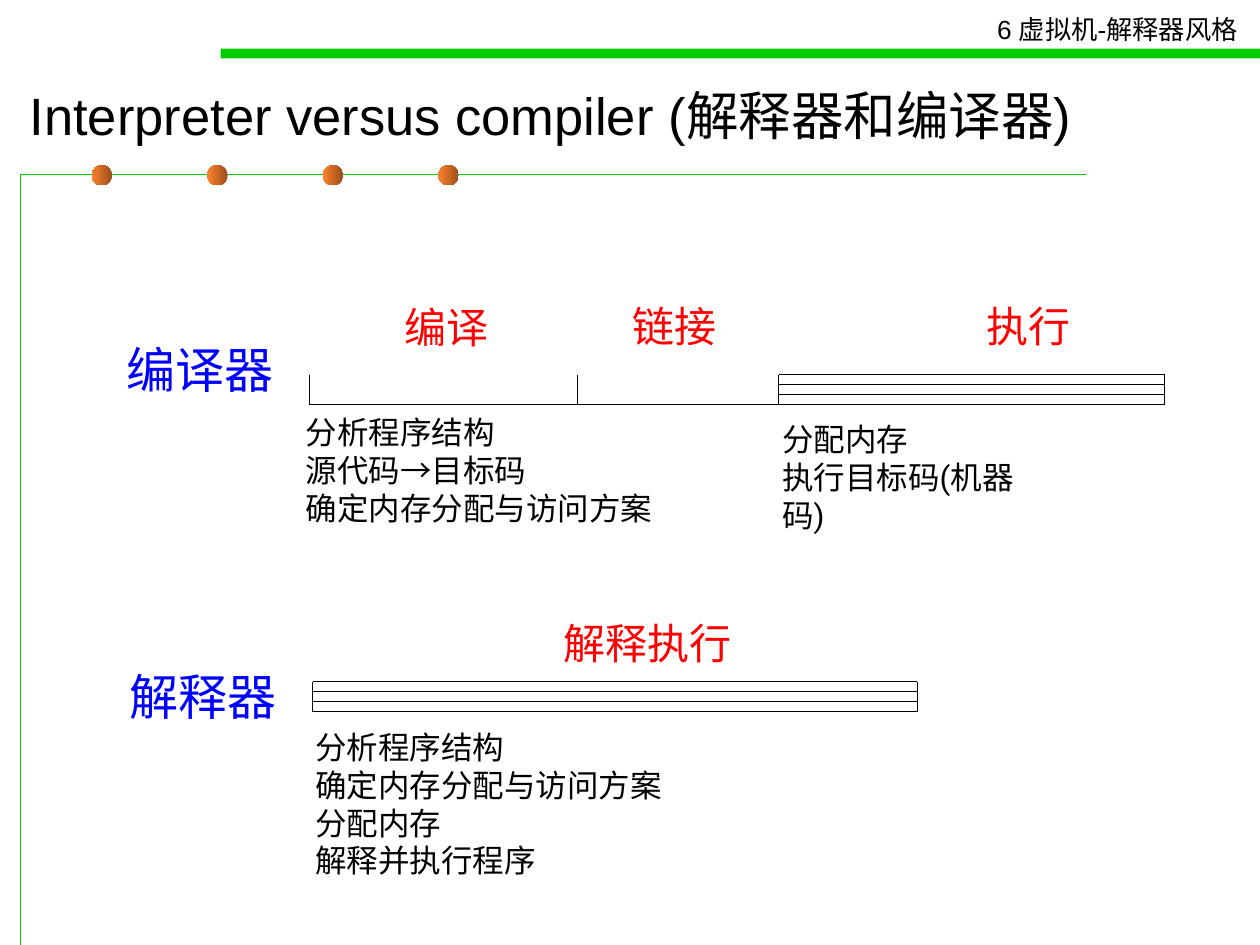
from lxml.etree import SubElement
from pptx import Presentation
from pptx.dml.color import RGBColor
from pptx.enum.shapes import MSO_CONNECTOR as Connector, MSO_SHAPE as Shape
from pptx.enum.text import MSO_ANCHOR as Anchor, MSO_AUTO_SIZE as AutoSize
from pptx.oxml.ns import qn
from pptx.util import Cm, Pt

COLORS = {
    "green": "00CC00", "black": "000000", "red": "FF0000", "blue": "0000FF",
    "dot_dark": "9A4E1B", "dot_light": "FF822D",
}
STYLES = {
    "header": {"size": 15, "font": "Arial", "color": "black"},
    "title": {"size": 30, "font": "Arial", "color": "black"},
    "system": {"size": 28, "font": "Roboto", "color": "blue"},
    "phase": {"size": 24, "font": "Roboto", "color": "red"},
    "notes": {"size": 18, "font": "Roboto", "color": "black"},
}
ARROW = "→"
LINE_WIDTH = Pt(0.75)
BAND_HEIGHT = 0.61
RAIL_GAP = BAND_HEIGHT / 3


def rgb(name):
    return RGBColor.from_string(COLORS[name])


class SlideBuilder:
    """Holds the text styles and the slide being drawn; lengths are in cm."""

    def __init__(self, slide, styles):
        self.shapes = slide.shapes
        self.styles = styles

    def corner_rule(self, points):
        start, *rest = [(Cm(x), Cm(y)) for x, y in points]
        builder = self.shapes.build_freeform(*start)
        builder.add_line_segments(rest, close=False)
        rule = builder.convert_to_shape()
        rule.shadow.inherit = False
        rule.fill.background()
        rule.line.color.rgb = rgb("green")
        rule.line.width = LINE_WIDTH

    def solid(self, kind, left, top, width, height):
        solid = self.shapes.add_shape(kind, Cm(left), Cm(top), Cm(width), Cm(height))
        solid.shadow.inherit = False
        solid.line.fill.background()
        return solid

    def bar(self, *box):
        fill = self.solid(Shape.RECTANGLE, *box).fill
        fill.solid()
        fill.fore_color.rgb = rgb("green")

    def dot(self, left, top, size):
        fill = self.solid(Shape.OVAL, left, top, size, size).fill
        fill.gradient()
        fill.gradient_angle = 180
        for stop, color in zip(fill.gradient_stops, ("dot_dark", "dot_light")):
            stop.color.rgb = rgb(color)

    def line(self, x1, y1, x2, y2):
        line = self.shapes.add_connector(
            Connector.STRAIGHT, Cm(x1), Cm(y1), Cm(x2), Cm(y2))
        line.line.color.rgb = rgb("black")
        line.line.width = LINE_WIDTH
        SubElement(line._element.spPr, qn("a:effectLst"))

    def timeline(self, top, ticks):
        """Baseline with a tick at each boundary; the last phase gets rails."""
        bottom = top + BAND_HEIGHT
        self.line(ticks[0], bottom, ticks[-1], bottom)
        for x in ticks:
            self.line(x, top, x, bottom)
        for rail in range(3):
            y = top + rail * RAIL_GAP
            self.line(ticks[-2], y, ticks[-1], y)

    def text(self, style, lines, left, top, width, height, **frame_format):
        box = self.shapes.add_textbox(Cm(left), Cm(top), Cm(width), Cm(height))
        frame = box.text_frame
        settings = {"word_wrap": False, "auto_size": AutoSize.SHAPE_TO_FIT_TEXT}
        for name, value in (settings | frame_format).items():
            setattr(frame, name, value)
        look = self.styles[style]
        for index, line in enumerate(lines):
            paragraph = frame.add_paragraph() if index else frame.paragraphs[0]
            for part in filter(None, line.partition(ARROW)):
                run = paragraph.add_run()
                run.text = part
                font_format = {
                    "size": Pt(look["size"]),
                    "name": "Arial" if part == ARROW else look["font"],
                }
                for name, value in font_format.items():
                    setattr(run.font, name, value)
                run.font.color.rgb = rgb(look["color"])


def main():
    deck = Presentation()
    deck.slide_width, deck.slide_height = Cm(25.4), Cm(19.05)
    page = SlideBuilder(deck.slides.add_slide(deck.slide_layouts[6]), STYLES)

    page.corner_rule([(0.42, 19.05), (0.42, 3.52), (21.9, 3.52)])
    for index in range(4):
        page.dot(1.85 + index * 2.33, 3.33, 0.41)
    page.bar(4.45, 0.98, 20.95, 0.2)
    page.text("header", ["6 虚拟机-解释器风格"], 19.85, 0.15, 5.74, 0.89)
    page.text("title", ["Interpreter versus compiler (解释器和编译器)"],
              0.35, 1.4, 23.6, 1.8, word_wrap=True, auto_size=AutoSize.NONE,
              vertical_anchor=Anchor.MIDDLE)

    page.timeline(7.55, [6.24, 11.64, 15.7, 23.48])
    page.timeline(13.74, [6.3, 18.49])

    for phase, left, top, width in [
        ("编译", 7.9, 5.96, 2.4),
        ("链接", 12.5, 5.94, 2.4),
        ("执行", 19.63, 5.94, 2.4),
        ("解释执行", 11.11, 12.32, 4.1),
    ]:
        page.text("phase", [phase], left, top, width, 1.27, word_wrap=True)

    page.text("notes", ["分析程序结构", "源代码→目标码", "确定内存分配与访问方案"],
              5.91, 8.2, 7.8, 2.54, word_wrap=True)
    page.text("notes", ["分析程序结构", "确定内存分配与访问方案", "分配内存", "解释并执行程序"],
              6.11, 14.55, 7.8, 3.3, word_wrap=True)
    page.text("notes", ["分配内存", "执行目标码(机器码)"],
              15.52, 8.35, 5.8, 2.54, word_wrap=True)

    for system, left, top in [("编译器", 2.31, 6.71), ("解释器", 2.36, 13.31)]:
        page.text("system", [system], left, top, 3.7, 1.45, word_wrap=True)

    deck.save("out.pptx")


if __name__ == "__main__":
    main()
